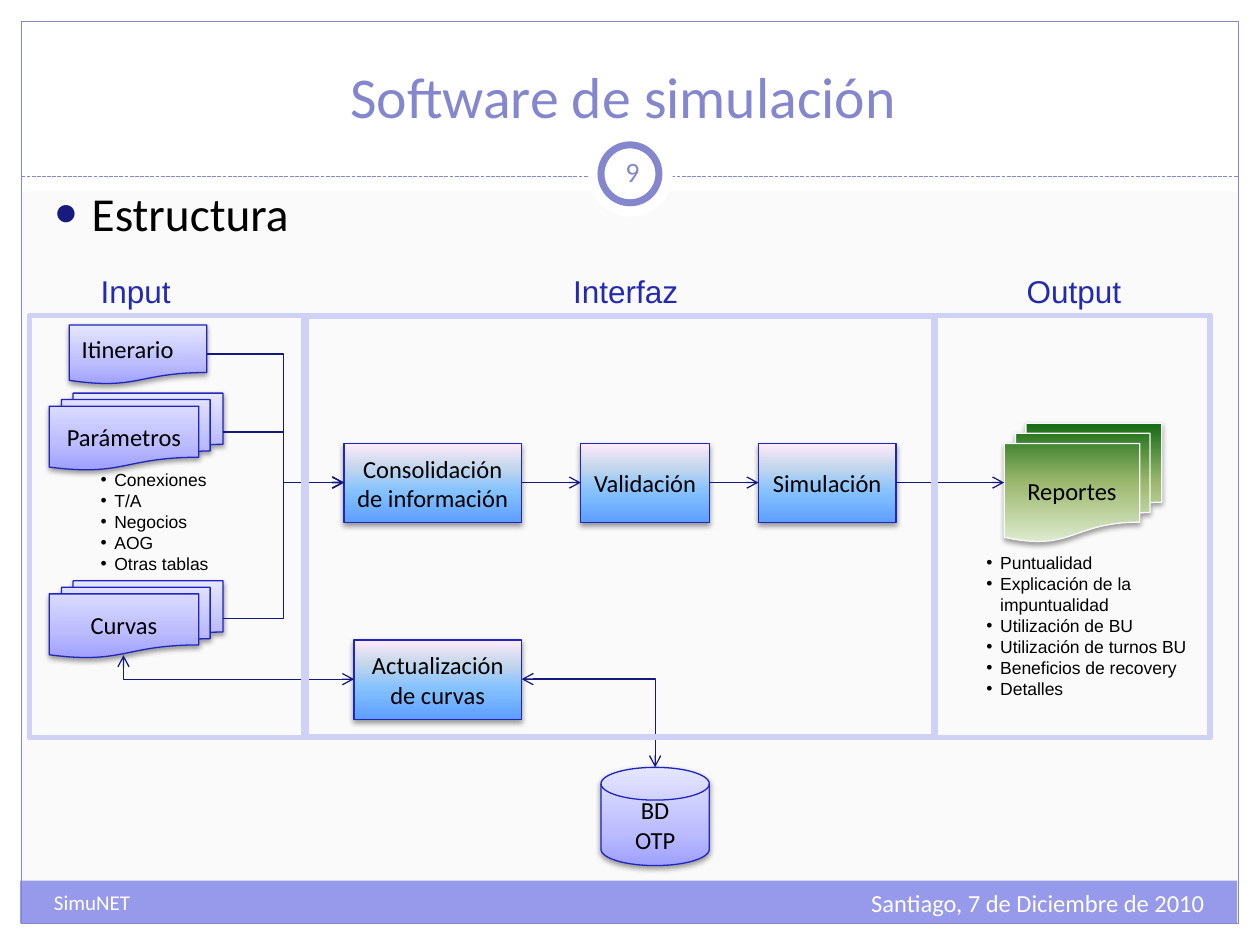
import pptx
import pptx.util
import pptx.dml.color
import pptx.enum.dml
import pptx.enum.shapes
import pptx.enum.text
import pptx.oxml.ns
from lxml import etree

RGBColor = pptx.dml.color.RGBColor
Shape = pptx.enum.shapes.MSO_SHAPE
Connector = pptx.enum.shapes.MSO_CONNECTOR
Align = pptx.enum.text.PP_ALIGN
Anchor = pptx.enum.text.MSO_ANCHOR
qn = pptx.oxml.ns.qn

WHITE = RGBColor(0xFF, 0xFF, 0xFF)
BLACK = RGBColor(0x00, 0x00, 0x00)
PAPER = RGBColor(0xFA, 0xFA, 0xFA)
LAVENDER = RGBColor(0x85, 0x87, 0xCE)
FOOTER = RGBColor(0x97, 0x99, 0xEA)
PANEL = RGBColor(0xCF, 0xD1, 0xF6)
OUTLINE = RGBColor(0x20, 0x25, 0xBD)
HEADING = RGBColor(0x24, 0x29, 0xB1)
NAVY = RGBColor(0x15, 0x18, 0x7E)
BULLET = RGBColor(0x18, 0x1B, 0x7E)
PALE = RGBColor(0xF9, 0xF9, 0xF9)

# Gradient stops run from bottom to top: (percent, colour).
VIOLET_STOPS = [(0, RGBColor(0xA0, 0xA0, 0xFF)), (35, RGBColor(0xBC, 0xBC, 0xFF)),
                (100, RGBColor(0xE5, 0xE6, 0xFF))]
BLUE_STOPS = [(0, RGBColor(0x5E, 0x9E, 0xFF)), (40, RGBColor(0x85, 0xC2, 0xFF)),
              (70, RGBColor(0xC4, 0xD6, 0xEB)), (100, RGBColor(0xFF, 0xEB, 0xFA))]
GREEN_STOPS = [(0, RGBColor(0xDD, 0xEB, 0xCF)), (50, RGBColor(0x9C, 0xB8, 0x6E)),
               (100, RGBColor(0x15, 0x6B, 0x13))]

COLUMNS, ROWS = 100, 75


def add_child(parent, tag, **attributes):
    child = etree.SubElement(parent, qn(tag))
    for name, value in attributes.items():
        child.set(name, str(value))
    return child


class SlideBuilder:
    """Draws on one slide; boxes are (column, row, columns wide, rows high)."""

    def __init__(self, presentation):
        self.cell_width = presentation.slide_width / COLUMNS
        self.cell_height = presentation.slide_height / ROWS
        self.slide = presentation.slides.add_slide(presentation.slide_layouts[6])
        self.slide.background.fill.solid()
        self.slide.background.fill.fore_color.rgb = PAPER

    def place(self, *lengths):
        sizes = (self.cell_width, self.cell_height)
        return [round(length * sizes[i % 2]) for i, length in enumerate(lengths)]

    def style_text(self, paragraph, size, color, font, align):
        paragraph.alignment = align
        paragraph.font.size = pptx.util.Pt(size)
        paragraph.font.name = font
        paragraph.font.color.rgb = color

    def shape(self, kind, box, fill=None, line=None, width=0.75):
        shape = self.slide.shapes.add_shape(kind, *self.place(*box))
        shape.shadow.inherit = False
        if fill is None:
            shape.fill.background()
        else:
            shape.fill.solid()
            shape.fill.fore_color.rgb = fill
        if line is None:
            shape.line.fill.background()
        else:
            shape.line.color.rgb = line
            shape.line.width = pptx.util.Pt(width)
        return shape

    def node(self, kind, box, lines, stops, line=OUTLINE, align=Align.CENTER):
        """A labelled step with a vertical gradient and a soft shadow."""
        shape = self.shape(kind, box, line=line)
        shape.fill.gradient()
        shape.fill.gradient_angle = 90
        properties = shape._element.spPr
        stop_list = properties.find(qn("a:gradFill")).find(qn("a:gsLst"))
        for old_stop in list(stop_list):
            stop_list.remove(old_stop)
        for percent, color in stops:
            stop = add_child(stop_list, "a:gs", pos=percent * 1000)
            add_child(stop, "a:srgbClr", val=color)
        shadow = add_child(properties.find(qn("a:effectLst")), "a:outerShdw", blurRad=40000,
                           dist=20000, dir=5400000, rotWithShape=0)
        add_child(add_child(shadow, "a:srgbClr", val=BLACK), "a:alpha", val=38000)
        frame = shape.text_frame
        frame.word_wrap = True
        frame.vertical_anchor = Anchor.MIDDLE
        self.fill_paragraphs(frame, lines, 14, BLACK, "Calibri", align)

    def fill_paragraphs(self, frame, lines, size, color, font, align, bullet=None):
        for index, line in enumerate(lines):
            paragraph = frame.paragraphs[0] if index == 0 else frame.add_paragraph()
            paragraph.text = line
            if bullet:
                self.add_bullet(paragraph, *bullet)
            self.style_text(paragraph, size, color, font, align)

    def add_bullet(self, paragraph, character, indent, color, percent):
        properties = paragraph._p.get_or_add_pPr()
        properties.set("marL", str(pptx.util.Inches(indent)))
        properties.set("indent", str(-pptx.util.Inches(indent)))
        add_child(add_child(properties, "a:buClr"), "a:srgbClr", val=color)
        add_child(properties, "a:buSzPct", val=percent * 1000)
        add_child(properties, "a:buFont", typeface="Arial")
        add_child(properties, "a:buChar", char=character)

    def text(self, box, lines, size, color, font="Calibri", align=Align.LEFT,
             anchor=Anchor.TOP, bullet=None):
        frame = self.slide.shapes.add_textbox(*self.place(*box)).text_frame
        frame.word_wrap = True
        frame.vertical_anchor = anchor
        self.fill_paragraphs(frame, lines, size, color, font, align, bullet)
        return frame

    def line(self, start, end, color=NAVY, kind=Connector.STRAIGHT, ends=("tail",)):
        connector = self.slide.shapes.add_connector(kind, *self.place(*start, *end))
        connector.line.color.rgb = color
        connector.line.width = pptx.util.Pt(0.75)
        add_child(connector._element.spPr, "a:effectLst")
        for end_name in ends:
            add_child(connector.line._get_or_add_ln(), f"a:{end_name}End", type="arrow")
        return connector

    def bus_arrow(self, start, end, bus_column):
        """An arrow whose upright part runs along bus_column."""
        connector = self.line(start, end, kind=Connector.ELBOW)
        share = (bus_column - start[0]) / (end[0] - start[0])
        guides = connector._element.spPr.find(qn("a:prstGeom")).get_or_add_avLst()
        add_child(guides, "a:gd", name="adj1", fmla=f"val {round(share * 100000)}")

    def corner_arrow(self, start, end, half_turn=False):
        """A two-headed arrow with one corner: across, then down (or up after a half turn)."""
        connector = self.line(start, end, kind=Connector.ELBOW, ends=("head", "tail"))
        properties = connector._element.spPr
        properties.find(qn("a:prstGeom")).set("prst", "bentConnector2")
        if half_turn:
            properties.find(qn("a:xfrm")).set("rot", "10800000")


def draw_page(page):
    for box in [(0, 73.3, 100, 1.7), (0, 0, 100, 15.2), (0, 0, 1.7, 75), (98.3, 0, 1.7, 75)]:
        page.shape(Shape.RECTANGLE, box, WHITE)
    page.shape(Shape.RECTANGLE, (1.6, 69.9, 96.6, 3.4), FOOTER)
    page.shape(Shape.RECTANGLE, (1.7, 1.7, 96.6, 71.6), line=LAVENDER)
    divider = page.line((1.7, 14), (98.3, 14), LAVENDER, ends=())
    divider.line.dash_style = pptx.enum.dml.MSO_LINE.SQUARE_DOT
    page.shape(Shape.OVAL, (46.7, 10.5, 6.7, 6.7), WHITE)
    page.shape(Shape.OVAL, (47.7, 11.5, 4.6, 4.6), WHITE, LAVENDER, 4)
    page.text((3.3, 2.5, 92.3, 8.3), ["Software de simulación"], 33, LAVENDER,
              align=Align.CENTER, anchor=Anchor.BOTTOM)
    page.text((63.3, 70, 33.3, 4), ["Santiago, 7 de Diciembre de 2010"], 14, WHITE,
              align=Align.RIGHT)
    page.text((3.3, 70.1, 39.2, 4), ["SimuNET"], 12, WHITE)
    number = page.text((47.7, 11.2, 5, 4.8), ["9"], 16, LAVENDER,
                       align=Align.CENTER, anchor=Anchor.MIDDLE)
    number.margin_left = number.margin_right = pptx.util.Inches(0.05)
    page.text((3.3, 14.1, 93, 6), ["Estructura"], 27, BLACK, bullet=("●", 0.3, BULLET, 85))


def draw_flow(page):
    documents, box = Shape.FLOWCHART_MULTIDOCUMENT, Shape.RECTANGLE
    page.node(Shape.FLOWCHART_DOCUMENT, (5.5, 25.8, 10.9, 4.7), ["Itinerario"], VIOLET_STOPS,
              align=Align.LEFT)
    for row, label in [(31.2, "Parámetros"), (46.1, "Curvas")]:
        page.node(documents, (3.9, row, 13.8, 6.1), [label], VIOLET_STOPS)
    for kind, column, row, width, label in [
            (box, 27.3, 35.2, 14.1, "Consolidación de información"),
            (box, 46.1, 35.2, 10.2, "Validación"),
            (Shape.FLOWCHART_PROCESS, 60.2, 35.2, 10.9, "Simulación"),
            (box, 28.1, 50.8, 13.3, "Actualización de curvas")]:
        page.node(kind, (column, row, width, 6.3), [label], BLUE_STOPS)
    page.node(documents, (79.7, 33.6, 12.5, 9.4), ["Reportes"], GREEN_STOPS, PALE)
    page.node(Shape.FLOWCHART_MAGNETIC_DISK, (47.7, 60.9, 8.6, 7.8), ["BD", "OTP"], VIOLET_STOPS)

    main_row = 38.3
    for start in [(16.4, 28.1), (17.7, 34.3), (17.7, 49.1)]:
        page.bus_arrow(start, (27.3, main_row), bus_column=22.5)
    for start, end in [(41.4, 46.1), (56.3, 60.2), (71.1, 79.7)]:
        page.line((start, main_row), (end, main_row))
    page.corner_arrow((9.8, 52), (28.1, 53.9), half_turn=True)
    page.corner_arrow((41.4, 53.9), (52, 60.9))


def draw_panels(page):
    for column, width, label_column, label in [
            (24.2, 50, 44.5, "Interfaz"), (2.3, 21.9, 7, "Input"), (74.2, 21.9, 80.5, "Output")]:
        panel = page.shape(Shape.FRAME, (column, 25, width, 33.6), PANEL, PANEL, 2)
        panel.adjustments[0] = 0.006
        page.text((label_column, 21.1, 17.2, 4), [label], 18, HEADING, "Arial")
    reports = ["Puntualidad", "Explicación de la impuntualidad", "Utilización de BU",
               "Utilización de turnos BU", "Beneficios de recovery", "Detalles"]
    parameters = ["Conexiones", "T/A", "Negocios", "AOG", "Otras tablas"]
    for box, items in [((77.3, 43.3, 19.5, 14.5), reports), ((7, 36.7, 19.5, 9.4), parameters)]:
        page.text(box, items, 10, BLACK, "Arial", bullet=("•", 0.11, BLACK, 100))


def main():
    presentation = pptx.Presentation()
    presentation.slide_width = pptx.util.Inches(10)
    presentation.slide_height = pptx.util.Inches(7.5)
    page = SlideBuilder(presentation)
    draw_page(page)
    draw_flow(page)
    draw_panels(page)
    presentation.save("out.pptx")


if __name__ == "__main__":
    main()
